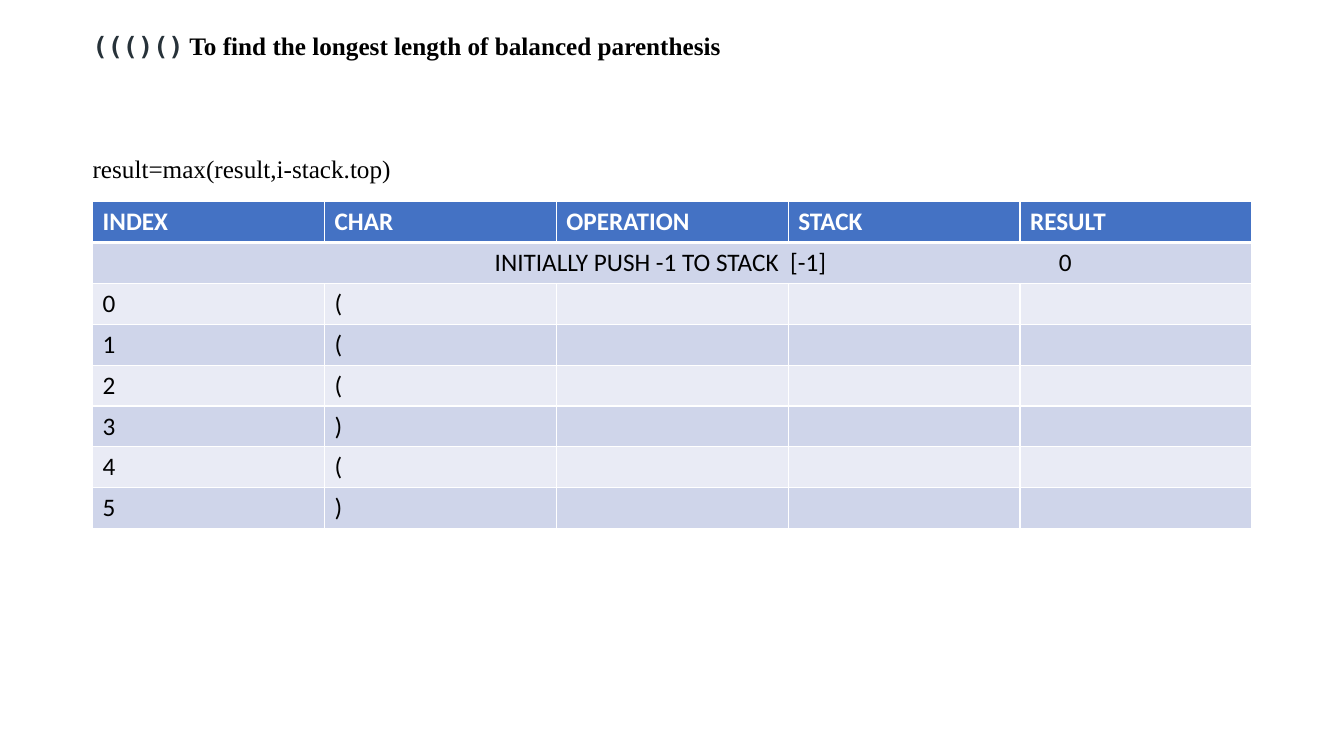
from dataclasses import dataclass

from lxml import etree
from pptx import Presentation
from pptx.dml.color import RGBColor
from pptx.oxml.ns import qn
from pptx.util import Pt

BLANK_LAYOUT = 6
LEFT, WIDTH = 66.2, 828
TABLE_TOP, ROW_HEIGHT = 144, 29.2
HEADINGS = ["INDEX", "CHAR", "OPERATION", "STACK", "RESULT"]
PARENTHESES = "((()()"
START_ROW = "\tINITIALLY PUSH -1 TO STACK\t[-1]\t0"
START_TABS = [280, 491, 683]


@dataclass(frozen=True)
class Theme:
    """Colours, fonts and sizes of the slide."""
    black: str = "000000"
    white: str = "FFFFFF"
    slate: str = "273239"
    header: str = "4472C4"
    dark_band: str = "CFD5EA"
    light_band: str = "E9EBF5"
    body_font: str = "Calibri"
    title_font: str = "Times New Roman"
    code_font: str = "DejaVu Sans Mono"
    size: int = 18
    thin: int = 1
    thick: int = 3


THEME = Theme()


def format_span(span, font, color, bold=False):
    """Set the font, colour and weight of a run."""
    span.font.name = font
    span.font.size = Pt(THEME.size)
    span.font.bold = bold
    span.font.color.rgb = RGBColor.from_string(color)


def add_spans(para, *spans):
    """Add formatted runs to a paragraph."""
    for text, font, color, bold in spans:
        span = para.add_run()
        span.text = text
        format_span(span, font, color, bold)


def add_title(page):
    """Add the heading and the formula below it."""
    box = page.shapes.add_textbox(Pt(LEFT), Pt(22), Pt(WIDTH), Pt(114))
    frame = box.text_frame
    frame.word_wrap = True
    frame.margin_left = frame.margin_right = 0
    frame.margin_top = frame.margin_bottom = 0
    add_spans(
        frame.paragraphs[0],
        (PARENTHESES, THEME.code_font, THEME.slate, True),
        (" To find the longest length of balanced parenthesis",
         THEME.title_font, THEME.black, True),
    )
    formula = frame.add_paragraph()
    formula.space_before = Pt(66)
    add_spans(formula, ("result=max(result,i-stack.top)",
                        THEME.title_font, THEME.black, False))


def add_border(cell, side, width):
    """Draw one white border of a cell."""
    properties = cell._tc.get_or_add_tcPr()
    line = etree.SubElement(properties, qn(f"a:ln{side}"), w=str(Pt(width)))
    fill = etree.SubElement(line, qn("a:solidFill"))
    etree.SubElement(fill, qn("a:srgbClr"), val=THEME.white)


def style_cell(cell, row):
    """Set the borders, fill and text style of a cell by its row."""
    is_header = row == 0
    widths = {"L": THEME.thin, "R": THEME.thin,
              "T": THEME.thick if row == 1 else THEME.thin,
              "B": THEME.thick if is_header else THEME.thin}
    for side, width in widths.items():
        add_border(cell, side, width)
    band = THEME.dark_band if row % 2 else THEME.light_band
    cell.fill.solid()
    cell.fill.fore_color.rgb = RGBColor.from_string(
        THEME.header if is_header else band)
    color = THEME.white if is_header else THEME.black
    for span in cell.text_frame.paragraphs[0].runs:
        format_span(span, THEME.body_font, color, is_header)


def add_tab_stops(para, positions):
    """Add left tab stops to a paragraph."""
    tabs = etree.SubElement(para._p.get_or_add_pPr(), qn("a:tabLst"))
    for position in positions:
        etree.SubElement(tabs, qn("a:tab"), pos=str(Pt(position)), algn="l")


def add_trace_table(page):
    """Add the table that traces the stack for each character."""
    steps = [[str(index), char] for index, char in enumerate(PARENTHESES)]
    rows = [HEADINGS, [START_ROW], *steps]
    table = page.shapes.add_table(
        len(rows), len(HEADINGS), Pt(LEFT), Pt(TABLE_TOP),
        Pt(WIDTH), Pt(ROW_HEIGHT * len(rows))).table
    for column in table.columns:
        column.width = Pt(WIDTH / len(HEADINGS))
    for row, texts in enumerate(rows):
        table.rows[row].height = Pt(ROW_HEIGHT)
        for column, text in enumerate(texts):
            table.cell(row, column).text = text
        for cell in table.rows[row].cells:
            style_cell(cell, row)
    start = table.cell(1, 0)
    start.merge(table.cell(1, len(HEADINGS) - 1))
    add_tab_stops(start.text_frame.paragraphs[0], START_TABS)


def main():
    """Build and save the deck."""
    deck = Presentation()
    deck.slide_width, deck.slide_height = Pt(960), Pt(540)
    page = deck.slides.add_slide(deck.slide_layouts[BLANK_LAYOUT])
    add_trace_table(page)
    add_title(page)
    deck.save("out.pptx")


if __name__ == "__main__":
    main()
